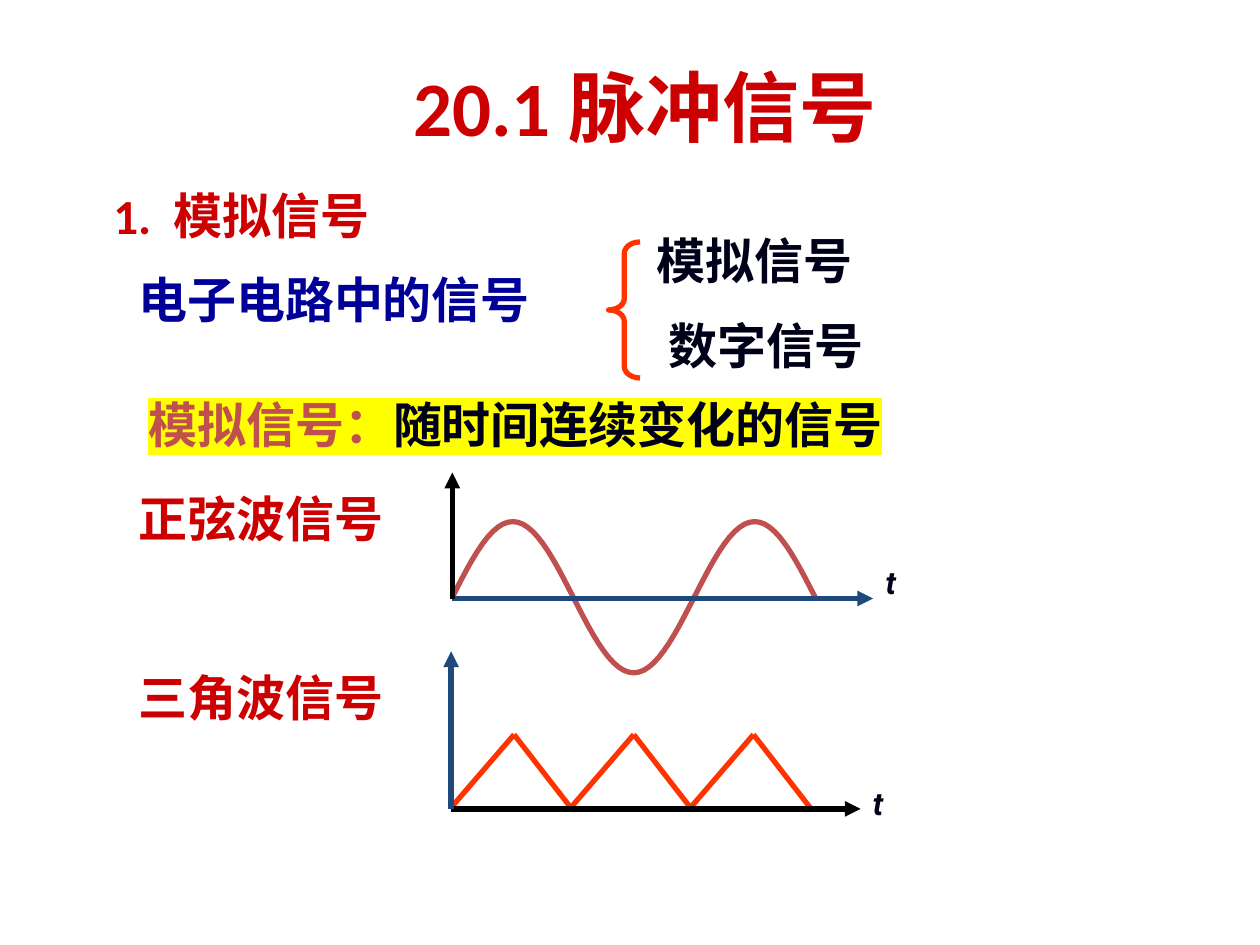
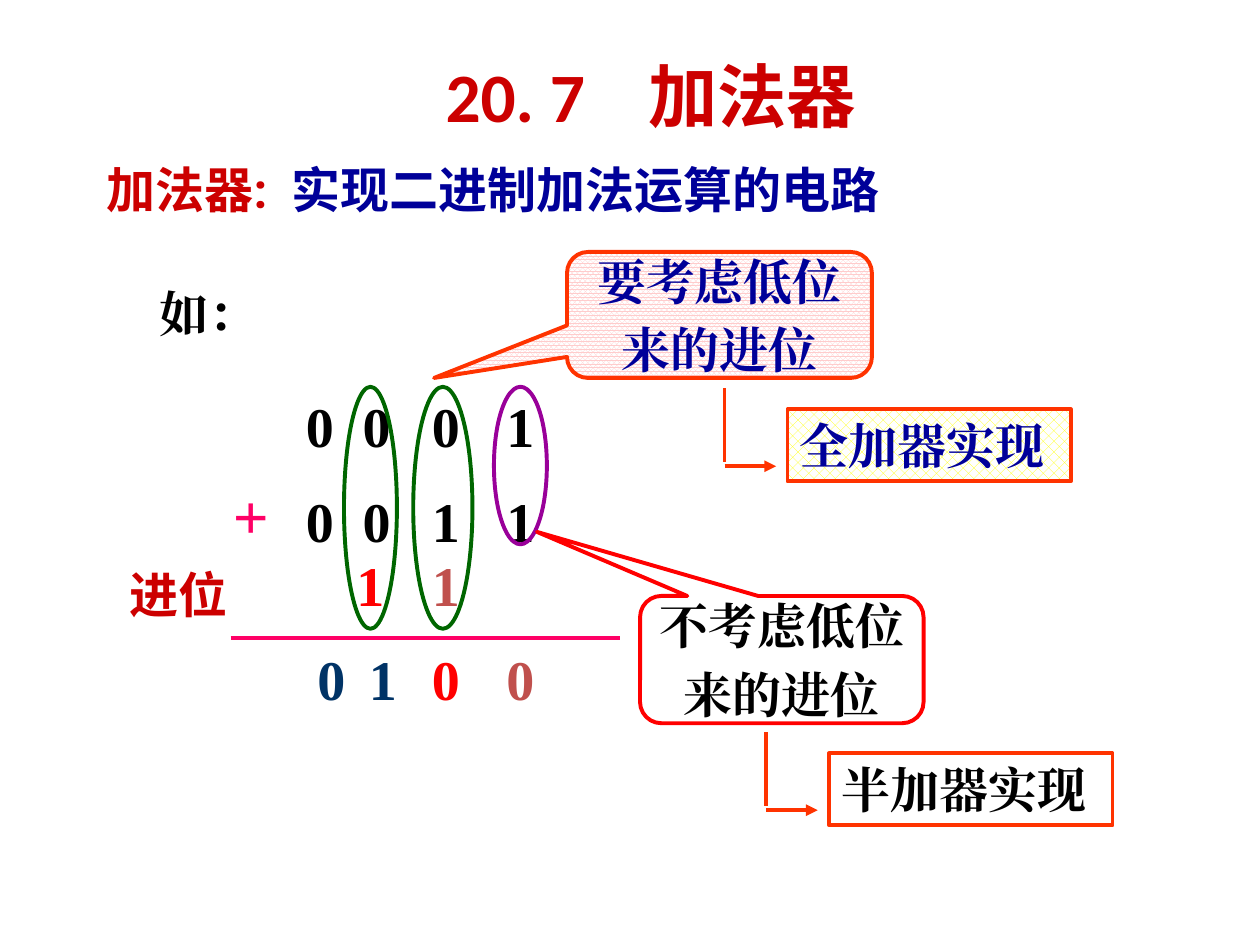
from dataclasses import dataclass
from math import pi, sin

from lxml.etree import SubElement as Sub
from pptx import Presentation
from pptx.dml.color import RGBColor as Rgb
from pptx.enum.dml import MSO_PATTERN as Pat
from pptx.enum.shapes import MSO_CONNECTOR as Link, MSO_SHAPE as Form
from pptx.enum.text import MSO_ANCHOR as Anchor, MSO_AUTO_SIZE as Fit, PP_ALIGN as Align
from pptx.oxml.ns import qn
from pptx.util import Inches, Pt


@dataclass(frozen=True)
class Theme:
    """Colours, fonts and sizes of both slides."""
    red: str = "CC0000"
    blue: str = "000099"
    ink: str = "000018"
    black: str = "000000"
    white: str = "FFFFFF"
    rust: str = "C0504D"
    navy: str = "1F497D"
    deep: str = "003366"
    flame: str = "FF3300"
    pure: str = "FF0000"
    rose: str = "FF0066"
    plum: str = "990099"
    green: str = "006600"
    pink: str = "FFCCCC"
    yellow: str = "FFFF00"
    head: str = "Calibri"
    kanji: str = "Noto Sans CJK JP"
    sans: str = "Roboto"
    serif: str = "Times New Roman"
    body: float = 28
    digit: float = 32
    plus: float = 36
    small: float = 18
    thick: float = 3
    thin: float = 2.25


T = Theme()


@dataclass(frozen=True)
class Box:
    """A region in inches; its parts are placed from its corner."""
    x: float
    y: float
    w: float = 0
    h: float = 0

    def sub(self, dx, dy, w=0, h=0):
        """Give a box offset from this one."""
        return Box(self.x + dx, self.y + dy, w, h)

    def emu(self):
        """Give left, top, width and height as lengths."""
        return [Inches(v) for v in (self.x, self.y, self.w, self.h)]


def color(code):
    """Turn a hex code into a colour."""
    return Rgb.from_string(code)


def add_run(para, text, size=T.body, tint=T.black, face=T.sans,
            slant=None, mark=None, gap=0):
    """Add one bold run; gap is extra letter spacing in points."""
    run = para.add_run()
    run.text = text
    font = run.font
    font.size, font.bold, font.italic = Pt(size), True, slant
    font.color.rgb = color(tint)
    props = font._element
    if gap:
        props.set("spc", str(round(gap * 100)))
    if mark:
        light = Sub(props, qn("a:highlight"))
        Sub(light, qn("a:srgbClr"), val=mark)
    font.name = face
    Sub(props, qn("a:ea"), typeface=face)


def label(slide, box, *runs, align=Align.LEFT, anchor=Anchor.TOP, wrap=False):
    """Add a text box; each run is a text and its style."""
    frame = slide.shapes.add_textbox(*box.emu()).text_frame
    frame.word_wrap, frame.vertical_anchor = wrap, anchor
    frame.auto_size = Fit.SHAPE_TO_FIT_TEXT
    para = frame.paragraphs[0]
    para.alignment = align
    for text, style in runs:
        add_run(para, text, **style)


def holder(shape, box, *runs, anchor=Anchor.MIDDLE):
    """Move a placeholder and fill it with centred runs."""
    shape.left, shape.top, shape.width, shape.height = box.emu()
    frame = shape.text_frame
    frame.auto_size, frame.vertical_anchor = Fit.NONE, anchor
    para = frame.paragraphs[0]
    para.alignment, para.space_before = Align.CENTER, Pt(0)
    for text, style in runs:
        add_run(para, text, **style)


def heading(slide, box, number, name, size, gap=0):
    """Write the red title: a number, a gap and a name."""
    look = dict(size=size, tint=T.red)
    holder(slide.shapes.title, box,
           (number, dict(look, face=T.head)),
           (" ", dict(look, face=T.head, gap=gap)),
           (name, dict(look, face=T.kanji)))


def line(slide, start, end, tint, width=T.thick, arrow=False):
    """Draw a straight line between two points."""
    link = slide.shapes.add_connector(
        Link.STRAIGHT, *[Inches(v) for v in (*start, *end)])
    link.line.color.rgb, link.line.width = color(tint), Pt(width)
    if arrow:
        Sub(link.line._get_or_add_ln(), qn("a:tailEnd"), type="triangle")
    Sub(link._element.spPr, qn("a:effectLst"))


def stroke(shape, tint, width):
    """Give a shape a plain outline, no fill and no shadow."""
    shape.shadow.inherit = False
    shape.fill.background()
    shape.line.color.rgb, shape.line.width = color(tint), Pt(width)


def form(slide, kind, box, tint, width=T.thin):
    """Add an outlined preset shape."""
    shape = slide.shapes.add_shape(kind, *box.emu())
    stroke(shape, tint, width)
    return shape


def paint(shape, weave=None, tint=None):
    """Fill a shape with white, or with a pattern on white."""
    if weave is None:
        shape.fill.solid()
        shape.fill.fore_color.rgb = color(T.white)
    else:
        shape.fill.patterned()
        shape.fill.pattern = Pat.from_xml(weave)
        shape.fill.fore_color.rgb = color(tint)
        shape.fill.back_color.rgb = color(T.white)


def kinds(slide, box):
    """Show the two kinds of signal behind a brace."""
    label(slide, box.sub(0, 0.17, 3.33, 0.57), ("电子电路中的信号", dict(tint=T.blue)))
    brace = form(slide, Form.LEFT_BRACE, box.sub(3.83, 0, 0.25, 1.08), T.flame, T.thick)
    brace.adjustments[0] = 0.361
    for dx, dy, text in ((4.11, -0.14, "模拟信号"), (4.2, 0.53, "数字信号")):
        label(slide, box.sub(dx, dy, 1.76, 0.57), (text, dict(tint=T.ink)),
              align=Align.CENTER, anchor=Anchor.MIDDLE)


def axes(slide, box, across, up):
    """Draw the time axis and the upright axis."""
    foot = (box.x, box.y + box.h)
    line(slide, foot, (box.x + box.w, foot[1]), across, arrow=True)
    line(slide, foot, (box.x, box.y), up, arrow=True)


def sine(slide, box):
    """Plot three half waves of a sine."""
    label(slide, box.sub(-2.59, 0.08, 2.17, 0.57), ("正弦波信号", dict(tint=T.red)))
    half, peak, steps = 0.96, 0.6, 24
    base = box.y + box.h - 0.01
    for part in range(3):
        spots = []
        for step in range(steps + 1):
            turn = part + step / steps
            spots.append((Inches(box.x + half * turn),
                          Inches(base - peak * sin(pi * turn))))
        pen = slide.shapes.build_freeform(*spots[0])
        pen.add_line_segments(spots[1:], close=False)
        stroke(pen.convert_to_shape(), T.rust, T.thick)
    axes(slide, box, T.navy, T.black)
    label(slide, box.sub(box.w, 0.67, 0.62, 0.5),
          ("t", dict(size=T.small, tint=T.ink, slant=True)), wrap=True)


def zigzag(slide, box):
    """Plot three teeth of a triangle wave."""
    label(slide, box.sub(-2.58, 0.08, 2.15, 0.57), ("三角波信号", dict(tint=T.red)))
    low, high = box.y + box.h - 0.01, box.y + 0.66
    period, rise = 0.95, 0.5
    for tooth in range(3):
        left = box.x + tooth * period
        tip = (left + rise, high)
        line(slide, (left, low), tip, T.flame)
        line(slide, tip, (left + period, low), T.flame)
    axes(slide, box, T.black, T.navy)
    label(slide, box.sub(box.w, 1, 0.29, 0.5),
          ("t", dict(size=T.small, tint=T.ink, slant=True)))


def signals(slide):
    """Build the slide on analogue signals."""
    heading(slide, Box(3.08, 0.42, 4.08, 0.83), "20.1", "脉冲信号", 44)
    look = dict(tint=T.red, face=T.head)
    holder(slide.placeholders[1], Box(0.75, 1.42, 2.33, 0.58),
           ("1.", look), (" ", dict(look, gap=6.3)), ("模拟信号", look),
           anchor=Anchor.TOP)
    kinds(slide, Box(1, 1.92))
    label(slide, Box(1.08, 3.08, 6.06, 0.57),
          ("模拟信号：", dict(tint=T.rust, mark=T.yellow)),
          ("随时间连续变化的信号", dict(tint=T.ink, mark=T.yellow)))
    sine(slide, Box(3.59, 3.75, 3.34, 1))
    zigzag(slide, Box(3.58, 5.17, 3.25, 1.25))


def adder(slide, box):
    """Lay out the binary sum with its carries and rings."""
    cols = (0, 0.45, 1, 1.59)
    rows = (
        (0, cols, "0001", [T.black] * 4),
        (0.75, cols, "0011", [T.black] * 4),
        (1.26, (0.4, 1), "11", (T.pure, T.rust)),
        (2.01, (0.09, 0.5, 1, 1.59), "0100", (T.deep, T.deep, T.pure, T.rust)),
    )
    for dy, places, digits, tints in rows:
        for dx, digit, tint in zip(places, digits, tints):
            label(slide, box.sub(dx, dy, 0.42, 0.63),
                  (digit, dict(size=T.digit, tint=tint, face=T.serif)))
    label(slide, box.sub(-0.58, 0.67, 0.42, 0.7),
          ("+", dict(size=T.plus, tint=T.rose, face=T.serif)), wrap=True)
    label(slide, box.sub(-1.58, 1.37, 1.33, 0.57), ("进位", dict(tint=T.red)),
          align=Align.CENTER, anchor=Anchor.MIDDLE, wrap=True)
    bar = box.y + 2
    line(slide, (box.x - 0.5, bar), (box.x + 2.59, bar), T.rose, T.thin)
    for dx, w, h, tint in ((0.4, 0.42, 1.92, T.green), (0.95, 0.47, 1.92, T.green),
                           (1.59, 0.42, 1.25, T.plum)):
        form(slide, Form.OVAL, box.sub(dx, 0.01, w, h), tint)


def branch(slide, box, lines, result, stem, tip, edge, tint, weaves):
    """Draw a callout and the arrow from it to its result."""
    note = form(slide, Form.ROUNDED_RECTANGULAR_CALLOUT, box, edge)
    note.adjustments[0], note.adjustments[1] = tip
    paint(note, *weaves[0])
    look = dict(tint=tint, face=T.serif)
    frame = note.text_frame
    frame.word_wrap, frame.vertical_anchor = False, Anchor.MIDDLE
    for order, text in enumerate(lines):
        para = frame.add_paragraph() if order else frame.paragraphs[0]
        para.alignment, para.space_before = Align.CENTER, Pt(5.6)
        add_run(para, text, **look)

    x, y = box.x + stem, box.y + 1.7
    line(slide, (x, y - 0.62), (x, y - 0.03), T.flame, T.thin)
    line(slide, (x, y), (x + 0.41, y), T.flame, T.thin, arrow=True)
    end = form(slide, Form.RECTANGLE, Box(x + 0.5, y - 0.45, 2.25, 0.57), T.flame)
    paint(end, *weaves[1])
    frame = end.text_frame
    frame.word_wrap, frame.vertical_anchor = True, Anchor.TOP
    frame.paragraphs[0].alignment = Align.LEFT
    add_run(frame.paragraphs[0], result, **look)


def sums(slide):
    """Build the slide on the adder."""
    heading(slide, Box(3.33, 0.5, 3.67, 0.5), "20. 7", "加法器", 39.6, gap=27)
    spare = slide.placeholders[1]._element
    spare.getparent().remove(spare)
    label(slide, Box(0.75, 1.22, 6.39, 0.57),
          ("加法器:", dict(tint=T.red)), (" ", dict(tint=T.red, gap=7)),
          ("实现二进制加法运算的电路", dict(tint=T.blue)), wrap=True)
    label(slide, Box(1.17, 2.2, 0.98, 0.57), ("如：", dict(face=T.serif)))
    adder(slide, Box(2.33, 3.06))
    branch(slide, Box(5.08, 4.73, 2.25, 1.01), ("不考虑低位", "来的进位"),
           "半加器实现", 1, (-0.864, -1.004), T.pure, T.black, ((), ()))
    branch(slide, Box(4.5, 2, 2.42, 1), ("要考虑低位", "来的进位"),
           "全加器实现", 1.25, (-0.936, 0.5), T.flame, T.blue,
           (("pct80", T.pink), ("pct40", T.yellow)))


deck = Presentation()
deck.slide_width, deck.slide_height = Inches(10), Inches(7.5)
for build in (signals, sums):
    build(deck.slides.add_slide(deck.slide_layouts[0]))
deck.save("out.pptx")
